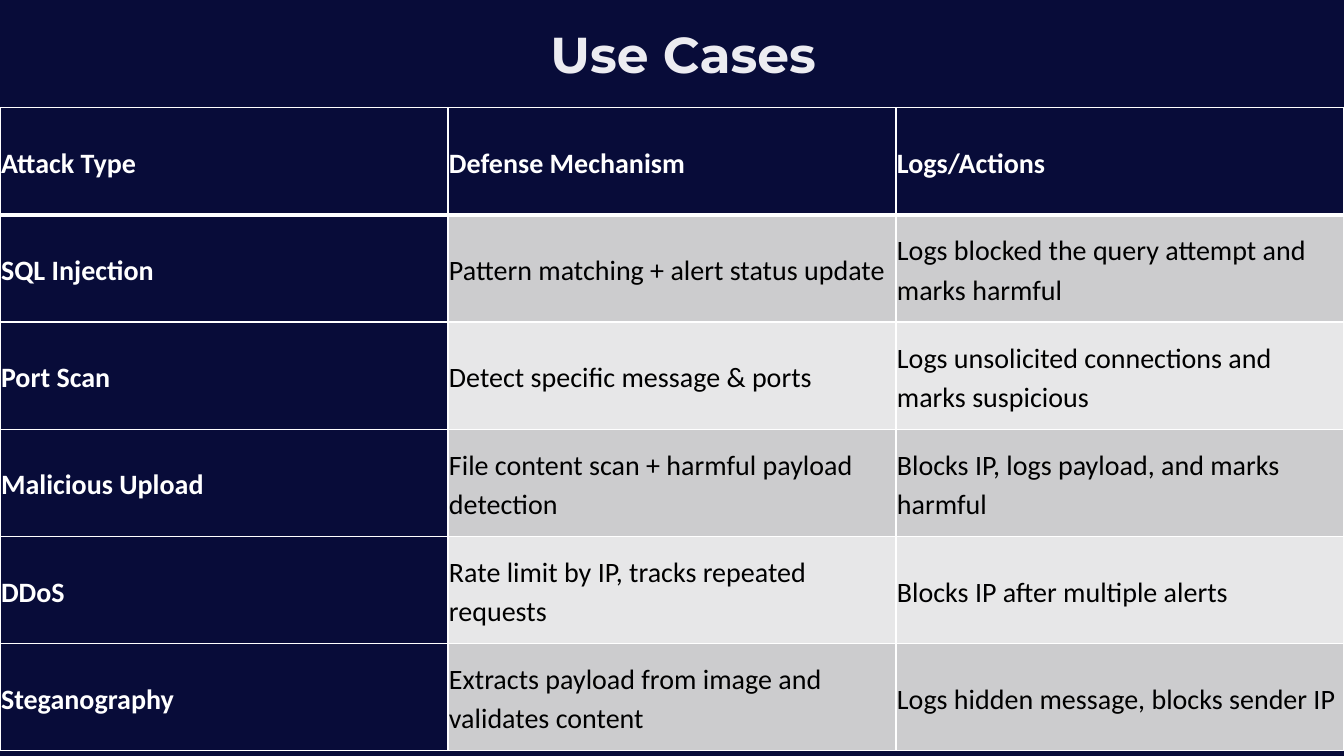
from dataclasses import astuple, dataclass

from lxml.etree import SubElement
from pptx import Presentation
from pptx.dml.color import RGBColor as RGB
from pptx.enum.text import MSO_ANCHOR as Anchor, MSO_AUTO_SIZE as Fit, PP_ALIGN as Align
from pptx.oxml.ns import qn
from pptx.util import Pt

NAVY, WHITE, BLACK = "080C39", "FFFFFF", "000000"
BANDS = ("CCCCCE", "E7E7E8")
COL_W, ROW_H = 320, 76.56


@dataclass
class Case:
    attack: str
    defense: str
    action: str


HEAD = Case("Attack Type", "Defense Mechanism", "Logs/Actions")
CASES = [
    Case("SQL Injection", "Pattern matching + alert status update",
         "Logs blocked the query attempt and marks harmful"),
    Case("Port Scan", "Detect specific message & ports",
         "Logs unsolicited connections and marks suspicious"),
    Case("Malicious Upload", "File content scan + harmful payload detection",
         "Blocks IP, logs payload, and marks harmful"),
    Case("DDoS", "Rate limit by IP, tracks repeated requests",
         "Blocks IP after multiple alerts"),
    Case("Steganography", "Extracts payload from image and validates content",
         "Logs hidden message, blocks sender IP"),
]


def paint(fill, color: str) -> None:
    fill.solid()
    fill.fore_color.rgb = RGB.from_string(color)


def write(frame, text: str, *, font: str = "Calibri", size: float = 20,
          color: str = BLACK, bold: bool = False, line: float = 1.0,
          after: float = 0) -> None:
    frame.text = text
    frame.word_wrap = True
    para = frame.paragraphs[0]
    para.alignment = Align.LEFT
    para.line_spacing = line
    para.space_before, para.space_after = Pt(0), Pt(after)
    face = para.runs[0].font
    face.name, face.size, face.bold = font, Pt(size), bold
    face.color.rgb = RGB.from_string(color)


def edge(cell, side: str, width: float) -> None:
    line = SubElement(cell._tc.get_or_add_tcPr(), qn(f"a:ln{side}"), w=str(Pt(width)))
    SubElement(SubElement(line, qn("a:solidFill")), qn("a:srgbClr"), val=WHITE)


def draw_cell(cell, text: str, row: int, col: int) -> None:
    label = row == 0 or col == 0
    thick = {0: "B", 1: "T"}.get(row)
    for side in "LRTB":
        edge(cell, side, 3 if side == thick else 1)
    paint(cell.fill, NAVY if label else BANDS[(row - 1) % 2])
    cell.vertical_anchor = Anchor.MIDDLE
    cell.margin_left = cell.margin_right = Pt(0.75)
    cell.margin_top = cell.margin_bottom = Pt(0.75)
    write(cell.text_frame, text, color=WHITE if label else BLACK,
          bold=label, line=1.15, after=8)


def draw_table(slide, cases: list[Case]) -> None:
    count = len(cases)
    table = slide.shapes.add_table(count, 3, Pt(0), Pt(77), Pt(3 * COL_W),
                                   Pt(count * ROW_H)).table
    table.horz_banding = False
    for col in table.columns:
        col.width = Pt(COL_W)
    for r, case in enumerate(cases):
        table.rows[r].height = Pt(ROW_H)
        for c, text in enumerate(astuple(case)):
            draw_cell(table.cell(r, c), text, r, c)


def draw_title(slide, text: str) -> None:
    title = slide.shapes.title
    title.left, title.top, title.width, title.height = Pt(389.5), Pt(13), Pt(228), Pt(81.5)
    frame = title.text_frame
    frame.auto_size, frame.vertical_anchor = Fit.NONE, Anchor.TOP
    frame.margin_left = frame.margin_right = Pt(3.6)
    frame.margin_top = frame.margin_bottom = Pt(3.6)
    write(frame, text, font="Montserrat", size=36, color="ECECF1", bold=True)


def main() -> None:
    deck = Presentation()
    deck.slide_width, deck.slide_height = Pt(960), Pt(540)
    slide = deck.slides.add_slide(deck.slide_layouts[5])
    paint(slide.background.fill, NAVY)
    draw_title(slide, "Use Cases")
    draw_table(slide, [HEAD, *CASES])
    deck.save("out.pptx")


if __name__ == "__main__":
    main()
